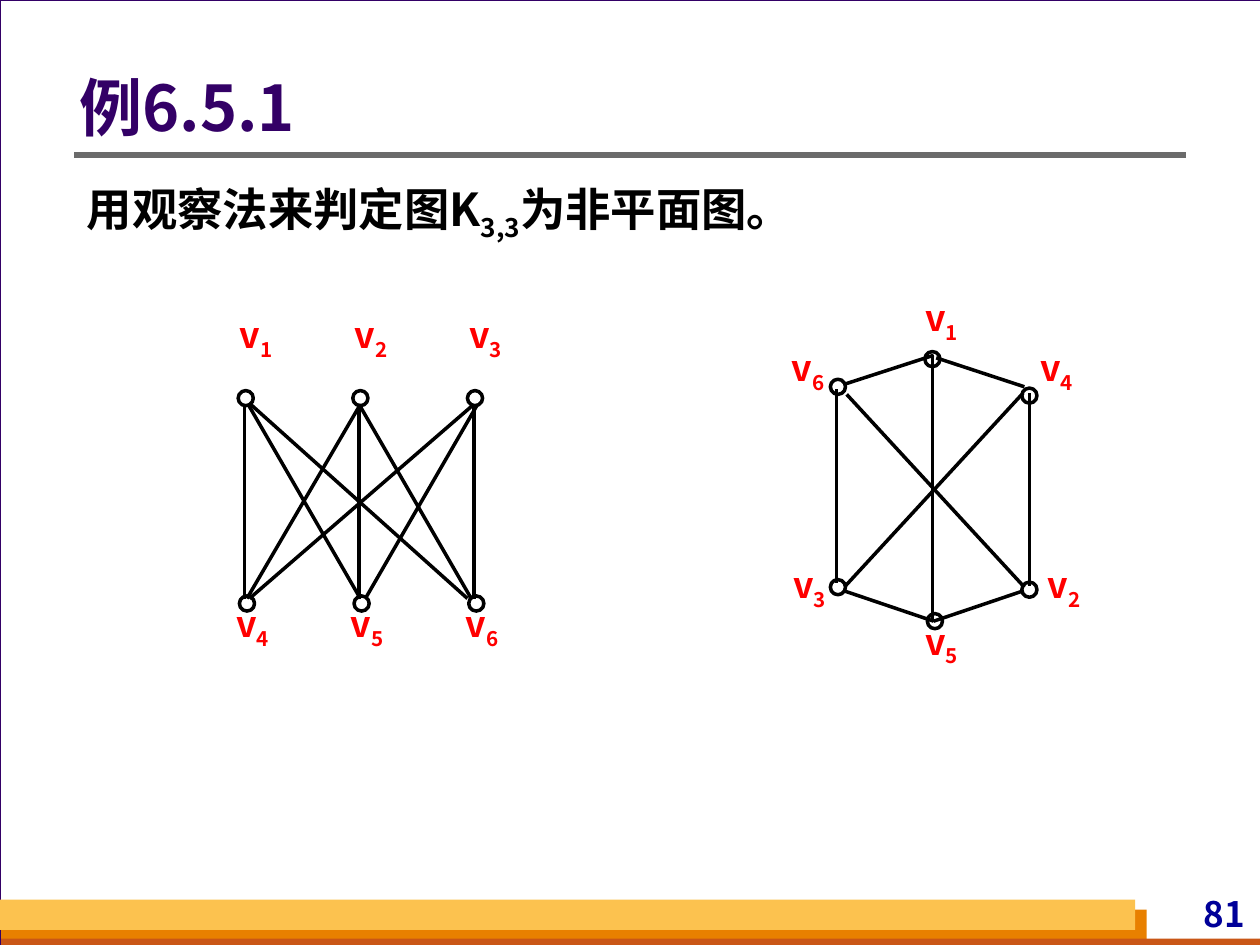
from lxml import etree
from pptx import Presentation
from pptx.dml.color import RGBColor
from pptx.enum.shapes import MSO_CONNECTOR, MSO_SHAPE
from pptx.enum.text import MSO_ANCHOR, MSO_AUTO_SIZE, PP_ALIGN
from pptx.oxml.ns import qn
from pptx.util import Inches, Pt

STRAIGHT = MSO_CONNECTOR.STRAIGHT
RECTANGLE, OVAL = MSO_SHAPE.RECTANGLE, MSO_SHAPE.OVAL
TOP, MIDDLE = MSO_ANCHOR.TOP, MSO_ANCHOR.MIDDLE
LEFT, CENTER, RIGHT = PP_ALIGN.LEFT, PP_ALIGN.CENTER, PP_ALIGN.RIGHT
NO_AUTOFIT = MSO_AUTO_SIZE.NONE

FONT = "Noto Sans CJK SC"
BLACK = "000000"
NODE_SIZE = 0.12
SIDE_MARGIN = (0.04, 0, 0.04, 0)

BANDS = [  # left, top, width, height, fill
    (0.01, 7.22, 9.09, 0.28, "E88000"),
    (0.01, 7.45, 10, 0.08, "C95616"),
    (0, 7.14, 9.01, 0.24, "FCC24F"),
]

COLUMN_GAP = 0.91
BIPARTITE_NODES = [(left + COLUMN_GAP * column, y)
                   for left, y in ((1.95, 3.16), (1.96, 4.79)) for column in range(3)]
BIPARTITE_LABELS = [(f"{first + column}", left + COLUMN_GAP * column, top)
                    for first, left, top in ((1, 1.8, 2.49), (4, 1.77, 4.78))
                    for column in range(3)]
# Top and bottom x of each edge between the two rows
BIPARTITE_EDGES = [((top_x, 3.21), (bottom_x, 4.75)) for top_x, bottom_x in (
    (1.94, 1.94), (1.97, 2.86), (1.99, 3.71),
    (2.86, 1.96), (2.85, 2.85), (2.85, 3.74),
    (3.76, 1.98), (3.79, 2.9), (3.76, 3.76))]

HEXAGON_NODES = [(7.4, 2.85), (8.17, 3.14), (8.17, 4.68),
                 (7.42, 4.93), (6.65, 4.66), (6.65, 3.07)]
HEXAGON_LABELS = [("1", 7.24, 2.35), ("4", 8.15, 2.75), ("2", 8.21, 4.47),
                  ("5", 7.24, 4.92), ("3", 6.19, 4.47), ("6", 6.18, 2.75)]
HEXAGON_EDGES = [
    ((7.43, 2.84), (8.13, 3.07)), ((8.17, 3.12), (8.17, 4.65)),
    ((8.12, 4.69), (7.41, 4.93)), ((6.7, 4.69), (7.41, 4.93)),
    ((6.64, 3.09), (6.64, 4.63)), ((7.41, 2.82), (6.7, 3.05)),
    ((7.4, 2.82), (7.4, 4.94)), ((8.13, 4.66), (6.72, 3.13)),
    ((8.12, 3.12), (6.71, 4.65)),
]


def color(value):
    return RGBColor.from_string(value)


def set_line(line, value, width):
    line.color.rgb = color(value)
    line.width = Pt(width)


def add_line(shapes, start, end, value=BLACK, width=2):
    connector = shapes.add_connector(STRAIGHT, *(Inches(n) for n in (*start, *end)))
    set_line(connector.line, value, width)
    etree.SubElement(connector._element.spPr, qn("a:effectLst"))


def add_shape(shapes, kind, box, fill=None, line=None):
    """Draw a preset shape; line is a (colour, width) pair."""
    shape = shapes.add_shape(kind, *(Inches(n) for n in box))
    shape.shadow.inherit = False
    if fill:
        shape.fill.solid()
        shape.fill.fore_color.rgb = color(fill)
    else:
        shape.fill.background()
    if line:
        set_line(shape.line, *line)
    else:
        shape.line.fill.background()


def write_text(shape, runs, size, value, align=LEFT, spacing=1.0, anchor=TOP,
               margins=(0, 0, 0, 0)):
    """Fill a shape with one paragraph of (text, is_subscript) runs."""
    frame = shape.text_frame
    sides = ("margin_left", "margin_top", "margin_right", "margin_bottom")
    settings = {"word_wrap": True, "auto_size": NO_AUTOFIT, "vertical_anchor": anchor}
    settings.update(zip(sides, map(Inches, margins)))
    for name, setting in settings.items():
        setattr(frame, name, setting)
    paragraph = frame.paragraphs[0]
    paragraph.alignment = align
    paragraph.line_spacing = spacing
    for text, is_subscript in runs:
        run = paragraph.add_run()
        run.text = text
        for name, setting in {"name": FONT, "size": Pt(size), "bold": True}.items():
            setattr(run.font, name, setting)
        run.font.color.rgb = color(value)
        properties = run._r.get_or_add_rPr()
        etree.SubElement(properties, qn("a:ea"), typeface=FONT)
        if is_subscript:
            properties.set("baseline", "-25000")


def add_text(shapes, box, runs, size, value, **layout):
    text_box = shapes.add_textbox(*(Inches(n) for n in box))
    write_text(text_box, runs, size, value, **layout)


def add_frame(slide):
    """Draw the page border, bottom bands, page number and title rule."""
    add_shape(slide.shapes, RECTANGLE, (0, 0, 10.01, 7.5), "FFFFFF", ("330066", 0.75))
    for *box, fill in BANDS:
        add_shape(slide.shapes, RECTANGLE, box, fill)
    add_text(slide.shapes, (8.7, 7.08, 1.22, 0.33), [("81", False)], 20, "000099",
             align=RIGHT, margins=SIDE_MARGIN)
    add_line(slide.shapes, (0.59, 1.23), (9.41, 1.23), "6B6B6B", 3)


def add_title(slide, text):
    title = slide.shapes.title
    box = {"left": 0.59, "top": 0.38, "width": 8.82, "height": 1.01}
    for name, length in box.items():
        setattr(title, name, Inches(length))
    write_text(title, [(text, False)], 36, "330066", spacing=0.9, anchor=MIDDLE,
               margins=SIDE_MARGIN)
    slide.shapes._spTree.append(title._element)  # in front of the page border


def add_graph(slide, nodes, edges, labels):
    shapes = slide.shapes.add_group_shape().shapes
    for start, end in edges:
        add_line(shapes, start, end)
    for x, y in nodes:
        box = (x - NODE_SIZE / 2, y - NODE_SIZE / 2, NODE_SIZE, NODE_SIZE)
        add_shape(shapes, OVAL, box, line=(BLACK, 2))
    for index, left, top in labels:
        add_text(shapes, (left, top, 0.47, 0.4), [("v", False), (index, True)],
                 20.4, "FF0000", align=CENTER, spacing=0.9)


def main():
    presentation = Presentation()
    presentation.slide_width, presentation.slide_height = Inches(10), Inches(7.5)
    slide = presentation.slides.add_slide(presentation.slide_layouts[5])
    slide.background.fill.solid()
    slide.background.fill.fore_color.rgb = color("D8DADA")
    add_frame(slide)
    add_title(slide, "例6.5.1")
    add_text(slide.shapes, (0.59, 1.34, 8.82, 0.66),
             [("用观察法来判定图K", False), ("3,3", True), ("为非平面图。", False)],
             25.9, BLACK, spacing=1.1, margins=(0.1, 0.05, 0.1, 0.05))
    add_graph(slide, BIPARTITE_NODES, BIPARTITE_EDGES, BIPARTITE_LABELS)
    add_graph(slide, HEXAGON_NODES, HEXAGON_EDGES, HEXAGON_LABELS)
    presentation.save("out.pptx")


if __name__ == "__main__":
    main()
